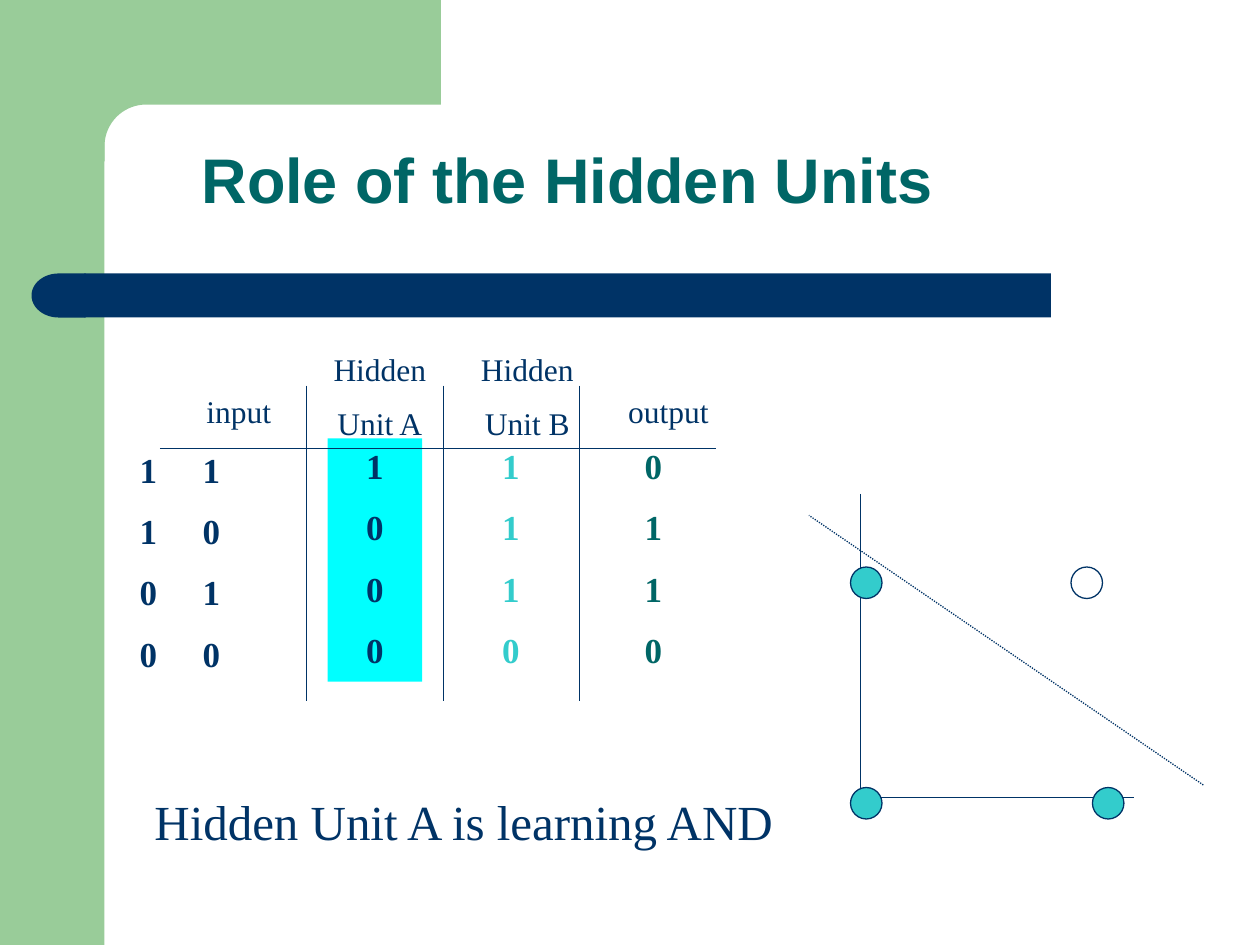
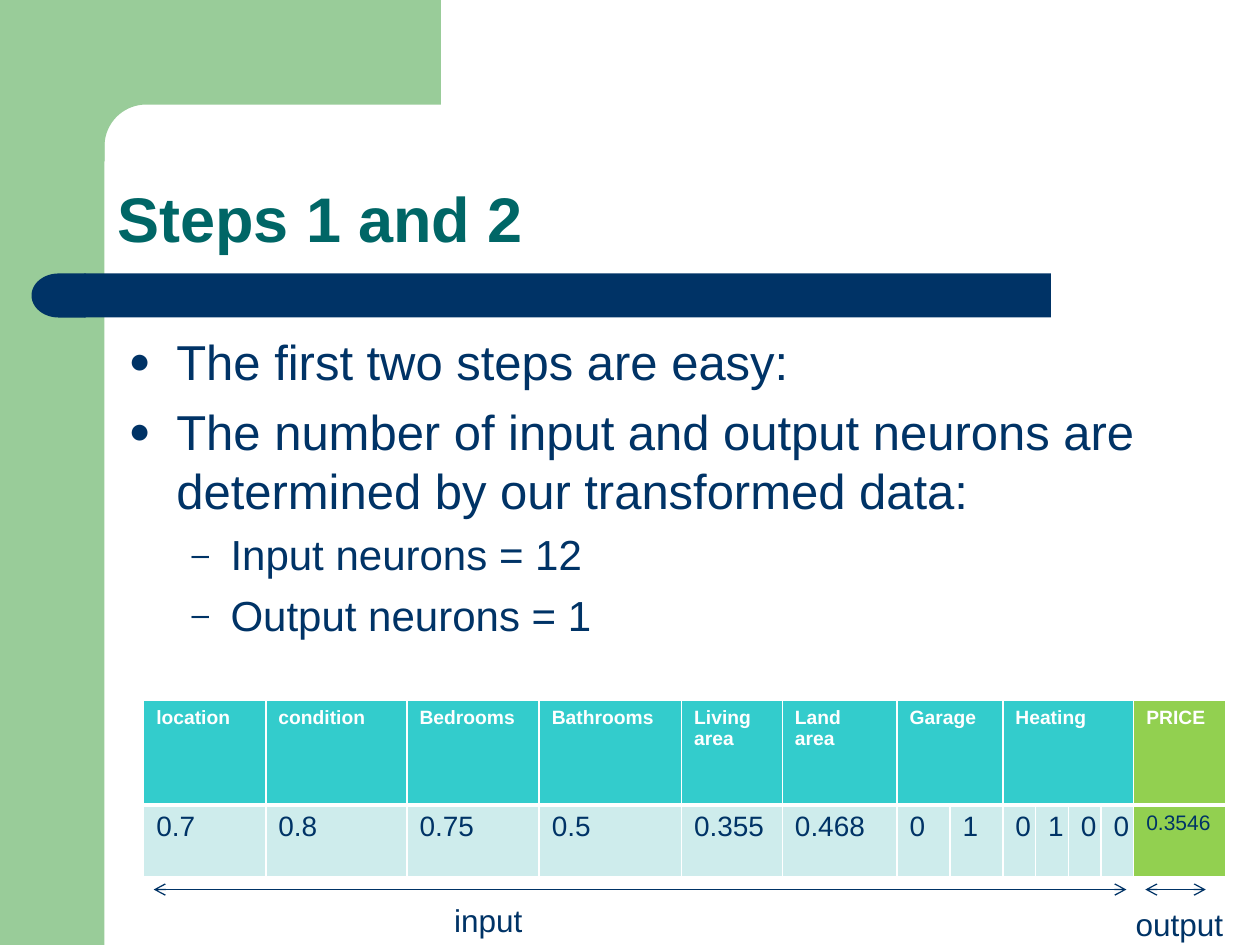
import math

import pptx
import pptx.dml.color
import pptx.enum.dml
import pptx.enum.shapes
import pptx.enum.text
import pptx.oxml
import pptx.oxml.ns
import pptx.util

Inches = pptx.util.Inches
Pt = pptx.util.Pt
RGBColor = pptx.dml.color.RGBColor
Align = pptx.enum.text.PP_ALIGN
Anchor = pptx.enum.text.MSO_ANCHOR
Preset = pptx.enum.shapes.MSO_SHAPE

NAVY = RGBColor(0x00, 0x33, 0x66)
GREEN = RGBColor(0x99, 0xCC, 0x99)
TEAL = RGBColor(0x00, 0x66, 0x66)
TURQUOISE = RGBColor(0x33, 0xCC, 0xCC)
CYAN = RGBColor(0x00, 0xFF, 0xFF)
PALE = RGBColor(0xCE, 0xEC, 0xEC)
LIME = RGBColor(0x92, 0xD0, 0x50)
WHITE = RGBColor(0xFF, 0xFF, 0xFF)

SANS = "Arial"
SERIF = "Times New Roman"
TITLE_ONLY, TITLE_AND_BODY = 5, 1


def add_xml(parent, markup):
    """Append one DrawingML element written without its namespace."""
    tag, _, rest = markup.partition(" ")
    namespace = pptx.oxml.ns.nsdecls("a")
    parent.append(pptx.oxml.parse_xml(f"<a:{tag} {namespace} {rest}"))


def write_text(paragraph, text, size=18, font=SANS, color=NAVY, bold=False,
               align=Align.LEFT, before=0, line_spacing=None, bullet=None,
               margin=0, hanging=0, tab=None):
    properties = paragraph._p.get_or_add_pPr()
    properties.set("marL", str(Inches(margin)))
    properties.set("indent", str(-Inches(hanging)))
    if bullet:
        namespace = pptx.oxml.ns.nsdecls("a")
        properties.append(pptx.oxml.parse_xml(
            f'<a:buClr {namespace}><a:srgbClr val="{NAVY}"/></a:buClr>'))
        add_xml(properties, 'buSzPct val="75000"/>')
        add_xml(properties, f'buFont typeface="{SANS}"/>')
        add_xml(properties, f'buChar char="{bullet}"/>')
    if tab:
        namespace = pptx.oxml.ns.nsdecls("a")
        properties.append(pptx.oxml.parse_xml(
            f'<a:tabLst {namespace}><a:tab pos="{Inches(tab)}" algn="l"/></a:tabLst>'))
    paragraph.alignment = align
    paragraph.space_before = Pt(before)
    if line_spacing:
        paragraph.line_spacing = line_spacing
    run = paragraph.add_run()
    run.text = text
    run.font.size = Pt(size)
    run.font.name = font
    run.font.bold = bold
    run.font.color.rgb = color


def write_lines(frame, lines, before=0, **style):
    for index, line in enumerate(lines):
        paragraph = frame.add_paragraph() if index else frame.paragraphs[0]
        write_text(paragraph, line, before=before if index else 0, **style)


class Deck:
    def __init__(self):
        self.presentation = pptx.Presentation()
        self.presentation.slide_width = Inches(10)
        self.presentation.slide_height = Inches(7.5)
        self.slide = None

    def new_slide(self, layout, title, left, top, width):
        layouts = self.presentation.slide_layouts
        self.slide = self.presentation.slides.add_slide(layouts[layout])
        self.bands()
        self.placeholder(self.slide.shapes.title, left, top, width, 1.25)
        frame = self.slide.shapes.title.text_frame
        frame.vertical_anchor = Anchor.BOTTOM
        write_text(frame.paragraphs[0], title, size=36, color=TEAL, bold=True,
                   line_spacing=0.9)

    def placeholder(self, shape, left, top, width, height):
        shape.left, shape.top = Inches(left), Inches(top)
        shape.width, shape.height = Inches(width), Inches(height)
        shape.text_frame.auto_size = pptx.enum.text.MSO_AUTO_SIZE.NONE
        return shape.text_frame

    def bands(self):
        self.shape(Preset.RECTANGLE, 0, 0, 0.83, 7.5, fill=GREEN)
        self.corner()
        self.shape(Preset.RECTANGLE, 0.67, 2.17, 7.67, 0.35, fill=NAVY)
        cap = self.shape(Preset.FLOWCHART_DELAY, 0.25, 2.17, 0.43, 0.35, fill=NAVY)
        cap.rotation = 180

    def corner(self):
        """Top band whose inner corner is a quarter circle."""
        radius, edge = 0.33, 0.83
        centre = edge + radius
        arc = [(centre - radius * math.sin(angle), centre - radius * math.cos(angle))
               for angle in (math.radians(step) for step in range(0, 91, 5))]
        points = [(3.5, 0), (3.5, edge), *arc, (edge, 1.28), (0.5, 1.28), (0.5, 0)]
        points = [(Inches(x), Inches(y)) for x, y in points]
        builder = self.slide.shapes.build_freeform(*points[0])
        builder.add_line_segments(points[1:], close=True)
        self.paint(builder.convert_to_shape(), GREEN, None)

    def paint(self, shape, fill, line):
        shape.shadow.inherit = False
        if fill is None:
            shape.fill.background()
        else:
            shape.fill.solid()
            shape.fill.fore_color.rgb = fill
        if line is None:
            shape.line.fill.background()
        else:
            shape.line.color.rgb = line
            shape.line.width = Pt(0.75)

    def shape(self, preset, left, top, width, height, fill=None, line=None):
        shape = self.slide.shapes.add_shape(
            preset, Inches(left), Inches(top), Inches(width), Inches(height))
        self.paint(shape, fill, line)
        return shape

    def text(self, lines, left, top, width, height, fill=None, wrap=True, **style):
        if fill is None:
            box = self.slide.shapes.add_textbox(
                Inches(left), Inches(top), Inches(width), Inches(height))
        else:
            box = self.shape(Preset.RECTANGLE, left, top, width, height, fill=fill)
        box.text_frame.word_wrap = wrap
        box.text_frame.vertical_anchor = Anchor.TOP
        write_lines(box.text_frame, lines, **style)

    def line(self, x1, y1, x2, y2, dotted=False, arrows=False):
        connector = self.slide.shapes.add_connector(
            pptx.enum.shapes.MSO_CONNECTOR.STRAIGHT,
            Inches(x1), Inches(y1), Inches(x2), Inches(y2))
        connector.line.color.rgb = NAVY
        connector.line.width = Pt(0.75)
        if dotted:
            connector.line.dash_style = pptx.enum.dml.MSO_LINE.ROUND_DOT
        if arrows:
            for end in ("headEnd", "tailEnd"):
                add_xml(connector.line._get_or_add_ln(), f'{end} type="arrow"/>')
        add_xml(connector._element.spPr, "effectLst />")

    def table(self, left, top, widths, heights):
        table = self.slide.shapes.add_table(
            len(heights), len(widths), Inches(left), Inches(top),
            Inches(sum(widths)), Inches(sum(heights))).table
        table.horz_banding = False
        for column, width in zip(table.columns, widths):
            column.width = Inches(width)
        for row, height in zip(table.rows, heights):
            row.height = Inches(height)
        return table

    def cell(self, cell, fill, top=1, bottom=1):
        properties = cell._tc.get_or_add_tcPr()
        namespace = pptx.oxml.ns.nsdecls("a")
        for side, width in (("L", 1), ("R", 1), ("T", top), ("B", bottom)):
            properties.append(pptx.oxml.parse_xml(
                f'<a:ln{side} {namespace} w="{Pt(width)}"><a:solidFill>'
                f'<a:srgbClr val="{WHITE}"/></a:solidFill></a:ln{side}>'))
        cell.fill.solid()
        cell.fill.fore_color.rgb = fill


def hidden_units_slide(deck):
    deck.new_slide(TITLE_ONLY, "Role of the Hidden Units", 1.5, 0.52, 8.5)

    # Plot of the four input points and the dividing line
    deck.line(6.83, 3.92, 6.83, 6.33)
    deck.line(6.83, 6.33, 9, 6.33)
    deck.line(9.55, 6.23, 6.42, 4.09, dotted=True)
    for left, top, fill in ((6.75, 4.5, TURQUOISE), (6.75, 6.25, TURQUOISE),
                            (8.5, 4.5, None), (8.67, 6.25, TURQUOISE)):
        deck.shape(Preset.OVAL, left, top, 0.25, 0.25, fill=fill, line=NAVY)

    # Truth table values
    values = dict(size=20, font=SERIF, bold=True, before=11)
    deck.text(["1\t1", "1\t0", "0\t1", "0\t0"], 1.01, 3.51, 1.34, 1.93,
              tab=0.42, **values)
    for digits, left, width, color, fill in (("1000", 2.6, 0.75, NAVY, CYAN),
                                             ("1110", 3.68, 0.75, TURQUOISE, None),
                                             ("0110", 4.77, 0.83, TEAL, None)):
        deck.text(digits, left, 3.48, width, 1.93, fill=fill, color=color,
                  align=Align.CENTER, **values)

    # Truth table rules and headings
    deck.line(1.27, 3.56, 5.68, 3.56)
    for x in (2.43, 3.52, 4.6):
        deck.line(x, 3.06, x, 5.56)
    for lines, left, top, width, height in (
            (["Hidden", "Unit A"], 1.85, 2.73, 2.33, 0.85),
            (["Hidden", "Unit B"], 3.02, 2.73, 2.33, 0.85),
            (["output"], 4.68, 3.06, 1.25, 0.4),
            (["input"], 1.02, 3.06, 1.75, 0.4)):
        deck.text(lines, left, top, width, height, font=SERIF,
                  align=Align.CENTER, before=9.3)

    # Conclusion
    deck.text(["Hidden Unit A is learning AND"], 1.1, 6.23, 5.16, 0.57,
              size=28, font=SERIF, align=Align.CENTER)


def steps_slide(deck):
    deck.new_slide(TITLE_AND_BODY, "Steps 1 and 2", 0.83, 0.83, 8.67)

    # Bulleted steps
    frame = deck.placeholder(deck.slide.placeholders[1], 0.92, 2.58, 8.41, 4.07)
    write_lines(frame, [
        "The first two steps are easy:",
        "The number of input and output neurons are determined by our transformed data:",
    ], size=28, before=6.4, bullet="●", margin=0.38, hanging=0.38)
    for text in ("Input neurons = 12", "Output neurons = 1"):
        paragraph = frame.add_paragraph()
        paragraph.level = 1
        write_text(paragraph, text, size=24, before=5.6, bullet="–",
                   margin=0.81, hanging=0.31)

    # Transformed data: heading, number of columns it spans
    headings = (("location", 1), ("condition", 1), ("Bedrooms", 1), ("Bathrooms", 1),
                ("Living area", 1), ("Land area", 1), ("Garage", 2), ("Heating", 4),
                ("PRICE", 1))
    values = ("0.7", "0.8", "0.75", "0.5", "0.355", "0.468",
              "0", "1", "0", "1", "0", "0", "0.3546")
    widths = [0.97, 1.12, 1.05, 1.13, 0.8, 0.91] + [0.42] * 2 + [0.26] * 4 + [0.73]
    table = deck.table(1.14, 5.56, widths, [0.83, 0.57])
    last = len(values) - 1
    for column, value in enumerate(values):
        is_price = column == last
        deck.cell(table.cell(0, column), LIME if is_price else TURQUOISE, bottom=3)
        deck.cell(table.cell(1, column), LIME if is_price else PALE, top=3)
        write_text(table.cell(1, column).text_frame.paragraphs[0], value,
                   size=12 if is_price else 16)
    column = 0
    for heading, span in headings:
        cell = table.cell(0, column)
        if span > 1:
            cell.merge(table.cell(0, column + span - 1))
        write_text(cell.text_frame.paragraphs[0], heading, size=11,
                   color=WHITE, bold=True)
        column += span

    # Input and output ranges
    deck.line(1.22, 7.06, 8.94, 7.06, arrows=True)
    deck.line(9.09, 7.06, 9.57, 7.06, arrows=True)
    deck.text(["input"], 3.5, 7.1, 0.75, 0.4, wrap=False, align=Align.CENTER)
    deck.text(["output"], 8.91, 7.13, 0.9, 0.4, wrap=False, align=Align.CENTER)


def main():
    deck = Deck()
    hidden_units_slide(deck)
    steps_slide(deck)
    deck.presentation.save("out.pptx")


if __name__ == "__main__":
    main()
